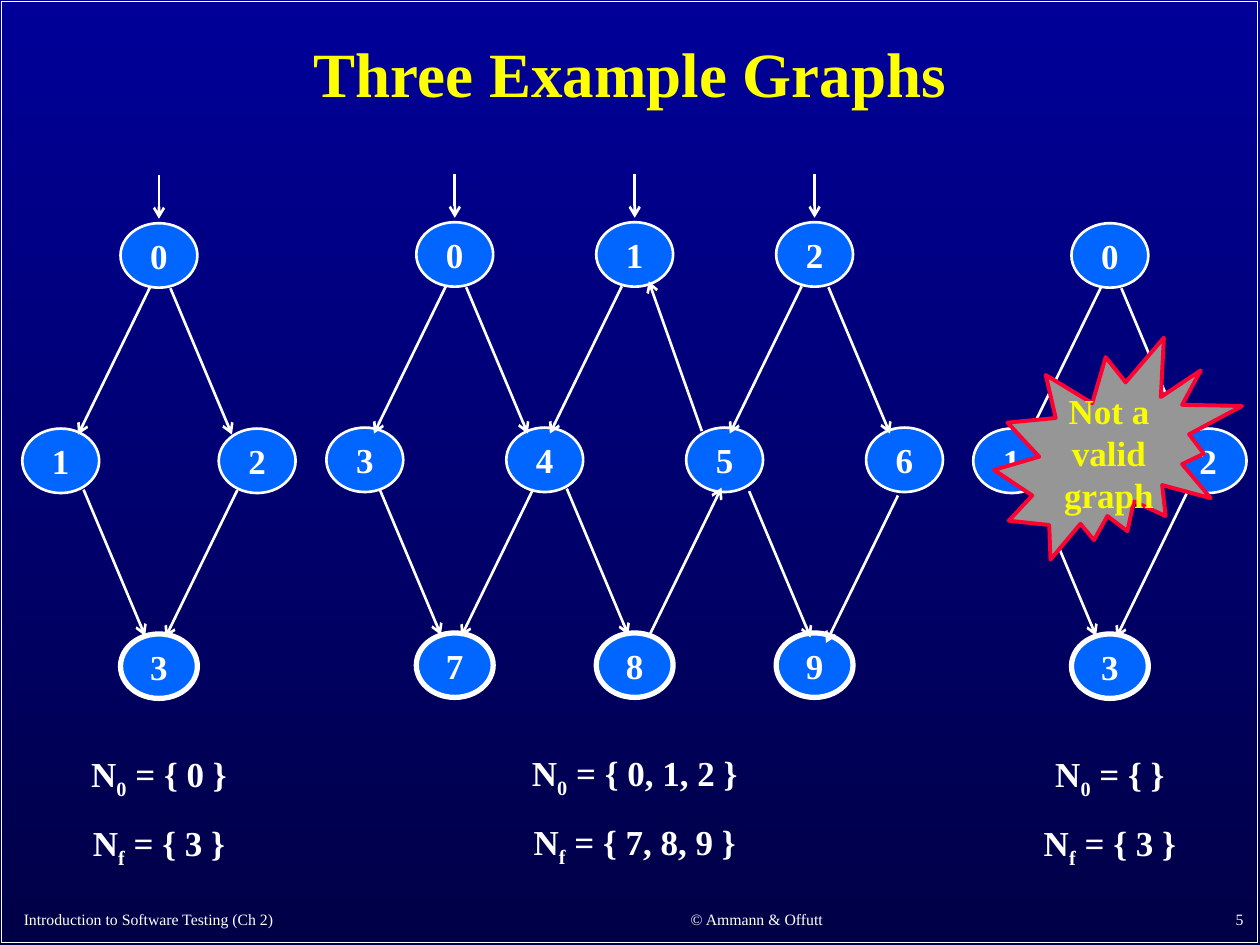
from lxml import etree
from pptx import Presentation
from pptx import util as u
from pptx.dml import color
from pptx.enum import shapes, text
from pptx.oxml import ns

FONT = "Times New Roman"
WHITE = "FFFFFF"
NODE_W, NODE_H = 1.55, 1.3
SOURCE, TARGET = 0, 1

# (source row, goes right, goes down): anchor node, offset from its centre, arrow vector
ROUTES = {
    (0, False, True): (SOURCE, (-0.18, 0.64), (-1.45, 2.97)),
    (0, True, True): (SOURCE, (0.23, 0.66), (1.24, 2.95)),
    (1, False, True): (TARGET, (0.13, -0.58), (-1.45, 2.97)),
    (1, True, True): (TARGET, (-0.28, -0.61), (1.24, 2.95)),
    (1, False, False): (SOURCE, (-0.46, -0.58), (-1.07, -3.02)),
    (2, True, False): (SOURCE, (0.3, -0.61), (1.45, -2.97)),
}

DIAMOND_NODES = {"0": (1, 0), "1": (0, 1), "2": (2, 1), "3": (1, 2)}
DIAMOND_EDGES = {("0", "1"): (0, 0), ("0", "2"): (0, 0),
                 ("1", "3"): (0, 0), ("2", "3"): (0, 0)}
LATTICE_NODES = {"0": (1, 0), "1": (3, 0), "2": (5, 0),
                 "3": (0, 1), "4": (2, 1), "5": (4, 1), "6": (6, 1),
                 "7": (1, 2), "8": (3, 2), "9": (5, 2)}
LATTICE_EDGES = {("0", "3"): (0, 0), ("0", "4"): (0, 0),
                 ("1", "4"): (-0.08, 0), ("5", "1"): (0, 0),
                 ("2", "5"): (-0.08, 0), ("2", "6"): (0.05, 0),
                 ("3", "7"): (0, 0), ("4", "7"): (0, 0),
                 ("4", "8"): (0.15, 0), ("8", "5"): (0, 0),
                 ("5", "9"): (0.2, 0.05), ("6", "9"): (0.1, 0.13)}


def rgb(hex_code):
    return color.RGBColor.from_string(hex_code)


def add_run(paragraph, words, size, ink=WHITE, bold=True):
    run = paragraph.add_run()
    run.text = words
    run.font.name = FONT
    run.font.size = u.Pt(size)
    run.font.bold = bold
    run.font.color.rgb = rgb(ink)
    return run


def add_outline(slide, preset, box, fill, line, weight):
    outline = slide.shapes.add_shape(preset, *map(u.Cm, box))
    outline.shadow.inherit = False
    if fill:
        outline.fill.solid()
        outline.fill.fore_color.rgb = rgb(fill)
    else:
        outline.fill.background()
    outline.line.color.rgb = rgb(line)
    outline.line.width = u.Pt(weight)
    return outline


def add_arrow(slide, start, vector):
    end = (start[0] + vector[0], start[1] + vector[1])
    arrow = slide.shapes.add_connector(
        shapes.MSO_CONNECTOR.STRAIGHT, *map(u.Cm, (*start, *end)))
    arrow.line.color.rgb = rgb(WHITE)
    arrow.line.width = u.Pt(1.5)
    etree.SubElement(arrow.line._get_or_add_ln(), ns.qn("a:tailEnd"), type="arrow")
    etree.SubElement(arrow._element.spPr, ns.qn("a:effectLst"))


def add_node(slide, label, centre, final):
    box = (centre[0] - NODE_W / 2, centre[1] - NODE_H / 2, NODE_W, NODE_H)
    node = add_outline(slide, shapes.MSO_SHAPE.OVAL, box, "0066FF", WHITE,
                       3 if final else 1.5)
    frame = node.text_frame
    frame.margin_left = frame.margin_right = frame.margin_top = frame.margin_bottom = 0
    frame.vertical_anchor = text.MSO_ANCHOR.MIDDLE
    frame.paragraphs[0].alignment = text.PP_ALIGN.CENTER
    add_run(frame.paragraphs[0], label, 20)


def add_node_sets(slide, box, initial, final):
    frame = slide.shapes.add_textbox(*map(u.Cm, box)).text_frame
    frame.word_wrap = True
    for index, (subscript, members) in enumerate((("0", initial), ("f", final))):
        paragraph = frame.add_paragraph() if index else frame.paragraphs[0]
        paragraph.alignment = text.PP_ALIGN.CENTER
        if index:
            paragraph.space_before = u.Pt(12.5)
        add_run(paragraph, "N", 20)
        lowered = add_run(paragraph, subscript, 20)
        lowered.font._element.set("baseline", "-25000")
        add_run(paragraph, f" = {members}", 20)


def add_graph(slide, box, nodes, edges, entries, initial, final):
    left, top, width, height = box
    column_gap = (width - NODE_W) / max(column for column, _ in nodes.values())
    row_gap = (height - NODE_H) / 2
    centres = {label: (left + NODE_W / 2 + column * column_gap,
                       top + NODE_H / 2 + row * row_gap)
               for label, (column, row) in nodes.items()}
    for label, centre in centres.items():
        add_node(slide, label, centre, final=nodes[label][1] == 2)
    for edge, nudge in edges.items():
        (from_column, from_row), (to_column, to_row) = (nodes[end] for end in edge)
        route = (from_row, to_column > from_column, to_row > from_row)
        anchor, offset, vector = ROUTES[route]
        start = [centre + shift + tweak - (step if anchor == TARGET else 0)
                 for centre, shift, tweak, step
                 in zip(centres[edge[anchor]], offset, nudge, vector)]
        add_arrow(slide, start, vector)
    for label in entries:
        x, y = centres[label]
        add_arrow(slide, (x, y - 1.62), (0, 0.88))
    caption_width = max(4.04, width / 2)
    caption_left = left + (width - caption_width) / 2
    add_node_sets(slide, (caption_left, top + height + 0.96, caption_width, 2.62),
                  initial, final)


def add_verdict(slide, box):
    burst = add_outline(slide, shapes.MSO_SHAPE.EXPLOSION2, box, "969696", "FF0033", 2.25)
    frame = burst.text_frame
    frame.word_wrap = False
    frame.vertical_anchor = text.MSO_ANCHOR.MIDDLE
    for index, words in enumerate(("Not a", "valid", "graph")):
        paragraph = frame.add_paragraph() if index else frame.paragraphs[0]
        paragraph.alignment = text.PP_ALIGN.CENTER
        add_run(paragraph, words, 20, "FAFD00")


def add_title(slide, box):
    title = slide.shapes.title
    title.left, title.top, title.width, title.height = map(u.Cm, box)
    title.text_frame.vertical_anchor = text.MSO_ANCHOR.MIDDLE
    paragraph = title.text_frame.paragraphs[0]
    paragraph.alignment = text.PP_ALIGN.CENTER
    paragraph.line_spacing = 0.9
    add_run(paragraph, "Three Example Graphs", 36, "FFFF00")


def add_footer(slide, box):
    left, top, width, height = box
    notes = (("Introduction to Software Testing (Ch 2)", 0, 10.46, text.PP_ALIGN.LEFT),
             ("© Ammann & Offutt", 11, 8.05, text.PP_ALIGN.CENTER),
             ("5", width - 5.28, 5.28, text.PP_ALIGN.RIGHT))
    for words, offset, span, alignment in notes:
        note = slide.shapes.add_textbox(*map(u.Cm, (left + offset, top, span, height)))
        note.text_frame.word_wrap = True
        note.text_frame.vertical_anchor = text.MSO_ANCHOR.BOTTOM
        note.text_frame.paragraphs[0].alignment = alignment
        add_run(note.text_frame.paragraphs[0], words, 9, bold=False)


def add_backdrop(slide, box):
    fill = slide.background.fill
    fill.gradient()
    fill.gradient_angle = 270
    for stop, position, tone in zip(fill.gradient_stops, (0, 1), ("000099", "000047")):
        stop.position = position
        stop.color.rgb = rgb(tone)
    add_outline(slide, shapes.MSO_SHAPE.RECTANGLE, box, None, WHITE, 1)


def main():
    deck = Presentation()
    deck.slide_width, deck.slide_height = u.Cm(25.4), u.Cm(19.05)
    slide = deck.slides.add_slide(deck.slide_layouts[5])
    add_backdrop(slide, (0.03, 0.03, 25.32, 18.97))
    add_footer(slide, (0.23, 18.06, 25.09, 0.78))
    add_title(slide, (1.9, 0.28, 21.6, 2.54))
    add_graph(slide, (0.45, 4.5, 5.51, 9.58), DIAMOND_NODES, DIAMOND_EDGES,
              "0", "{ 0 }", "{ 3 }")
    add_graph(slide, (19.62, 4.5, 5.51, 9.58), DIAMOND_NODES, DIAMOND_EDGES,
              "", "{ }", "{ 3 }")
    add_graph(slide, (6.58, 4.48, 12.43, 9.58), LATTICE_NODES, LATTICE_EDGES,
              "012", "{ 0, 1, 2 }", "{ 7, 8, 9 }")
    add_verdict(slide, (20.04, 6.81, 5, 4.47))
    deck.save("out.pptx")


if __name__ == "__main__":
    main()
